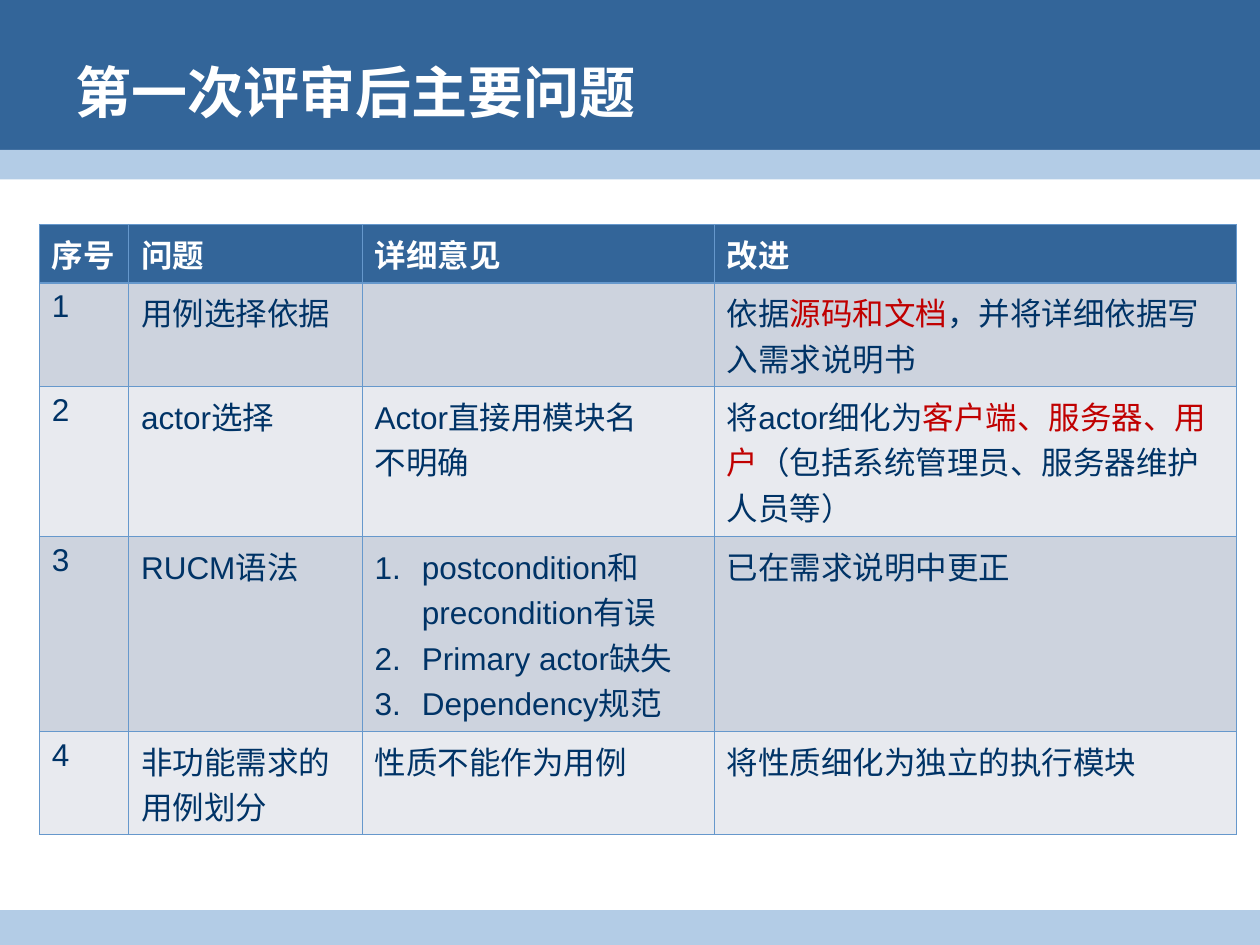
"""Build the slide listing the main problems found after the first review."""
from lxml import etree
from pptx import Presentation
from pptx import util as u
from pptx.dml.color import RGBColor
from pptx.enum import shapes, text
from pptx.oxml import ns

COLORS = {
    "blue": "336599", "light": "B3CCE6", "white": "FFFFFF", "navy": "003366",
    "red": "C00000", "grid": "6698CC", "odd": "CDD3DE", "even": "E8EAEF",
}
FONT = "Arial"
TITLE = "第一次评审后主要问题"
BANDS = [(0, 3.33, "blue"), (3.02, 0.6, "light"), (18.35, 0.76, "light")]
COLUMNS = [1.8, 4.71, 7.1, 10.53]
ROW_HEIGHTS = [1.18, 2.09, 3.02, 3.93, 2.08]
HEADER = ["序号", "问题", "详细意见", "改进"]
ISSUES = [
    ["1", "用例选择依据", "",
     [[("依据", "navy"), ("源码和文档", "red"), ("，并将详细依据写入需求说明书", "navy")]]],
    ["2", "actor选择", ["Actor直接用模块名", "不明确"],
     [[("将actor细化为", "navy"), ("客户端、服务器、用户", "red"),
       ("（包括系统管理员、服务器维护人员等）", "navy")]]],
    ["3", "RUCM语法",
     ["postcondition和precondition有误", "Primary actor缺失", "Dependency规范"],
     "已在需求说明中更正"],
    ["4", ["非功能需求的", "用例划分"], "性质不能作为用例", "将性质细化为独立的执行模块"],
]
NUMBERED = (3, 2)


def rgb(name):
    return RGBColor.from_string(COLORS[name])


def add_span(para, words, color, size, bold):
    span = para.add_run()
    span.text = words
    span.font.name = FONT
    span.font.size = u.Pt(size)
    span.font.bold = bold
    span.font.color.rgb = rgb(color)


def add_band(page, top, height, color):
    band = page.shapes.add_shape(
        shapes.MSO_SHAPE.RECTANGLE, 0, u.Cm(top), u.Cm(25.4), u.Cm(height))
    band.shadow.inherit = False
    band.fill.solid()
    band.fill.fore_color.rgb = rgb(color)
    band.line.fill.background()


def add_title(page):
    box = page.shapes.add_textbox(u.Cm(1.27), u.Cm(0.43), u.Cm(22.86), u.Cm(2.8))
    frame = box.text_frame
    frame.word_wrap = True
    frame.vertical_anchor = text.MSO_ANCHOR.MIDDLE
    add_span(frame.paragraphs[0], TITLE, "white", 32, True)


def number_paragraph(para):
    props = para._p.get_or_add_pPr()
    indent = u.Cm(0.95)
    props.set("marL", str(indent))
    props.set("indent", str(-indent))
    etree.SubElement(props, ns.qn("a:buFont"), typeface=FONT)
    etree.SubElement(props, ns.qn("a:buAutoNum"), type="arabicPeriod")


def set_border(cell, side, width):
    line = etree.SubElement(
        cell._tc.get_or_add_tcPr(), ns.qn(f"a:ln{side}"), w=str(u.Pt(width)))
    fill = etree.SubElement(line, ns.qn("a:solidFill"))
    etree.SubElement(fill, ns.qn("a:srgbClr"), val=COLORS["grid"])


def fill_cell(cell, content, row, numbered):
    header_edge = {0: "B", 1: "T"}.get(row)
    for side in "LRTB":
        set_border(cell, side, 1.47 if side == header_edge else 0.45)
    cell.fill.solid()
    cell.fill.fore_color.rgb = rgb("blue" if row == 0 else "odd" if row % 2 else "even")
    color = "white" if row == 0 else "navy"
    lines = [content] if isinstance(content, str) else content
    for index, line in enumerate(lines):
        frame = cell.text_frame
        para = frame.add_paragraph() if index else frame.paragraphs[0]
        para.font.size = u.Pt(18)
        if numbered:
            number_paragraph(para)
        spans = [(line, color)] if isinstance(line, str) else line
        for words, tint in spans:
            if words:
                add_span(para, words, tint, 18, row == 0)


def add_issue_table(page):
    rows = [HEADER] + ISSUES
    table = page.shapes.add_table(
        len(rows), len(COLUMNS), u.Cm(0.79), u.Cm(4.52),
        u.Cm(sum(COLUMNS)), u.Cm(sum(ROW_HEIGHTS))).table
    for column, width in zip(table.columns, COLUMNS):
        column.width = u.Cm(width)
    for row, (contents, height) in enumerate(zip(rows, ROW_HEIGHTS)):
        table.rows[row].height = u.Cm(height)
        for col, content in enumerate(contents):
            fill_cell(table.cell(row, col), content, row, (row, col) == NUMBERED)


def main():
    deck = Presentation()
    deck.slide_width, deck.slide_height = u.Cm(25.4), u.Cm(19.05)
    page = deck.slides.add_slide(deck.slide_layouts[6])
    for band in BANDS:
        add_band(page, *band)
    add_title(page)
    add_issue_table(page)
    deck.save("out.pptx")


if __name__ == "__main__":
    main()
